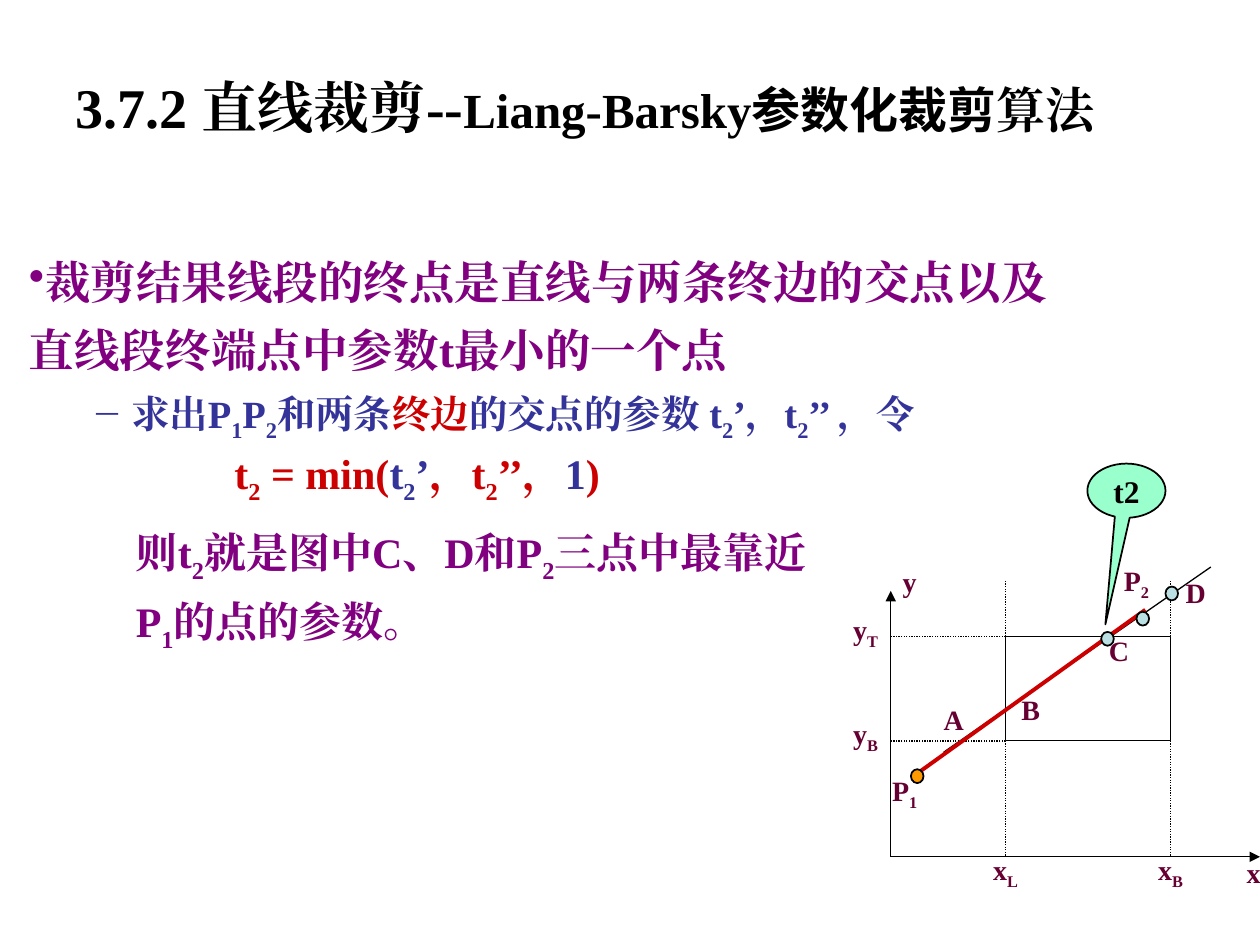
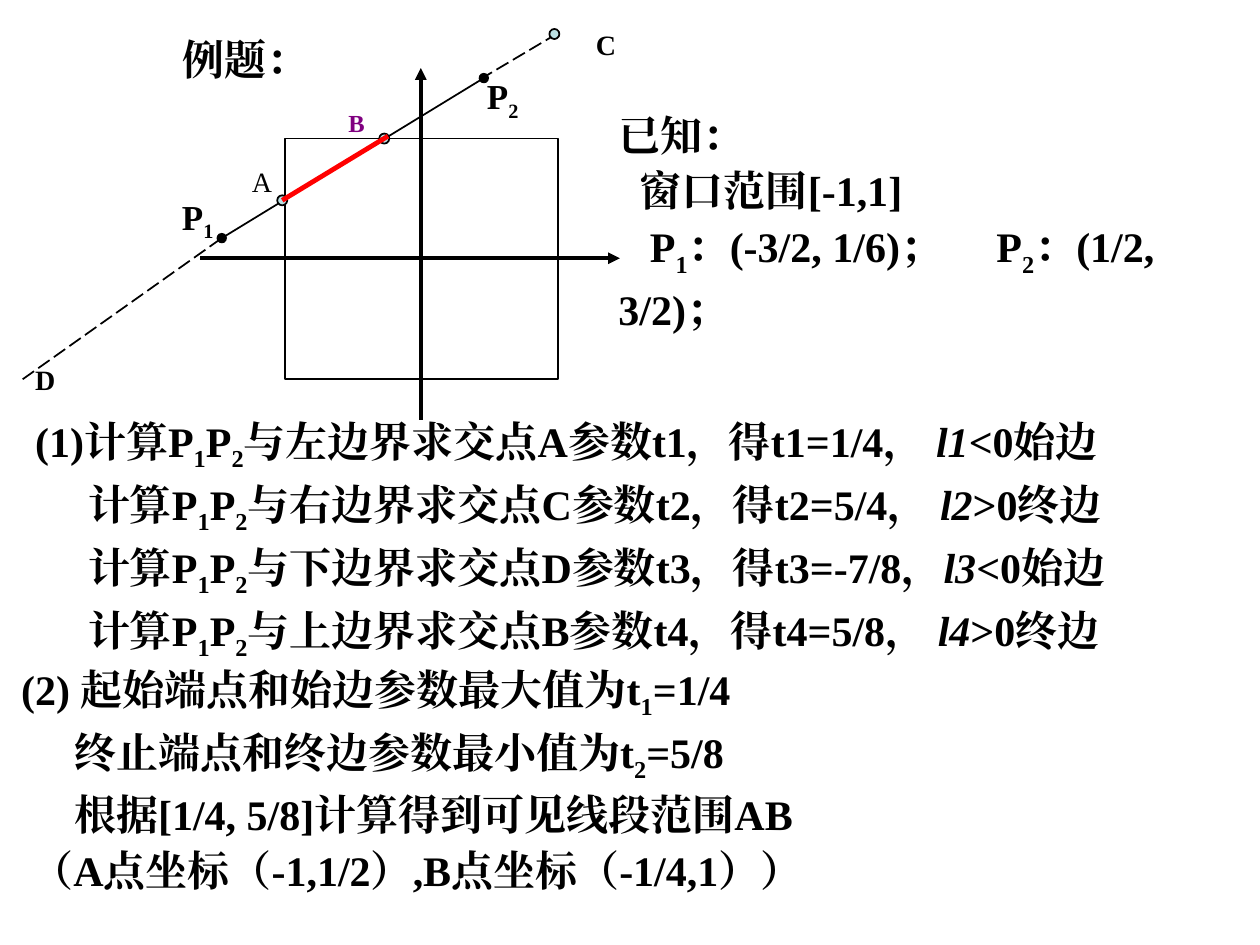
"""Builds two slides on Liang-Barsky line clipping: the end-point rule and a worked example."""
import pptx
import pptx.util
import pptx.dml.color
import pptx.enum.shapes
import pptx.enum.text
import pptx.oxml.ns
from lxml import etree

Inches = pptx.util.Inches
Pt = pptx.util.Pt
Shape = pptx.enum.shapes.MSO_SHAPE
Align = pptx.enum.text.PP_ALIGN
Anchor = pptx.enum.text.MSO_ANCHOR
qn = pptx.oxml.ns.qn

FONT = "Times New Roman"
CJK_FONT = "Noto Sans CJK SC"
COLORS = {
    "black": "000000", "white": "FFFFFF", "purple": "800080", "navy": "333399",
    "crimson": "CC0000", "red": "FF0000", "maroon": "660033",
    "orange": "FF9900", "dot": "BBE0E3", "mint": "99FFCC",
}
NO_INSETS = (0, 0, 0, 0)
TEXT_INSETS = (0.1, 0.05, 0.1, 0.05)

# An underscore makes the next character a subscript.
TITLE = [("3.7.2 直线裁剪--", {"size": 32}), ("Liang-Barsky", {}),
         ("参数化裁剪", {"font": CJK_FONT}), ("算法", {})]

RULE = [
    {"bullet": "•", "runs": [("裁剪结果线段的终点是直线与两条终边的交点以及直线段终端点中参数t最小的一个点", {"size": 26})]},
    {"bullet": "─", "level": 1, "margin": 0.81, "indent": -0.31, "runs": [
        ("求出P_1P_2和两条", {"color": "navy"}),
        ("终边", {"color": "crimson"}),
        ("的交点的参数 t_2’，t_2’’ ，令", {"color": "navy"})]},
]
FORMULA = [{"align": Align.CENTER, "runs": [
    ("t_2 = min(", {}), ("t_2’", {"color": "navy"}), ("，t_2’’，", {}),
    ("1", {"color": "navy"}), (")", {})]}]
CONCLUSION = [{"runs": [("则t_2就是图中C、D和P_2三点中最靠近P_1的点的参数。", {})]}]

GIVEN = [
    {"runs": [("已知：", {})]},
    {"margin": 0.17, "runs": [("窗口范围[-1,1]", {})]},
    {"indent": 0.25, "tab": 3.04, "runs": [("P_1：(-3/2, 1/6)；\tP_2：(1/2, 3/2)；", {})]},
]
INTERSECTIONS = [
    ("左", "A", "1/4， ", "<0始边"),
    ("右", "C", "5/4， ", ">0终边"),
    ("下", "D", "-7/8，", "<0始边"),
    ("上", "B", "5/8， ", ">0终边"),
]
STEP_ONE = [
    {"margin": 0 if number == 1 else 0.42, "runs": [
        (f"{'(1)' if number == 1 else ''}计算P_1P_2与{side}边界求交点{point}参数t{number}，得t{number}={value}", {}),
        (f"l{number}", {"italic": True}),
        (kind, {})]}
    for number, (side, point, value, kind) in enumerate(INTERSECTIONS, 1)
]
STEP_TWO = [
    {"margin": margin, "runs": [(text, {})]}
    for margin, text in [
        (0, "(2) 起始端点和始边参数最大值为t_1=1/4"),
        (0.42, "终止端点和终边参数最小值为t_2=5/8"),
        (0.42, "根据[1/4, 5/8]计算得到可见线段范围AB"),
        (0.08, "（A点坐标（-1,1/2）,B点坐标（-1/4,1））"),
    ]
]

ORIGIN_X, ORIGIN_Y = 7.07, 6.8
WINDOW_LEFT, WINDOW_RIGHT, WINDOW_TOP, WINDOW_BOTTOM = 7.98, 9.29, 5.05, 5.88
GUIDE_TOP = 4.6
CLIP_LABELS = [
    ("x", 9.95, 6.79), ("y", 7.22, 4.48),
    ("y_T", 6.87, 4.86), ("y_B", 6.87, 5.69),
    ("x_L", WINDOW_LEFT, 6.77), ("x_B", WINDOW_RIGHT, 6.77),
    ("A", 7.57, 5.58), ("B", 8.18, 5.5), ("C", 8.88, 5.03), ("D", 9.49, 4.57),
    ("P_2", 9.02, 4.47), ("P_1", 7.18, 6.14),
]
CLIP_POINTS = [(7.28, 6.16, "orange"), (9.3, 4.71, "dot"), (9.07, 4.91, "dot"), (8.79, 5.07, "dot")]

EXAMPLE_LABELS = [
    ("例题：", 1.95, 0.22, 24, "black", True),
    ("P_1", 1.57, 1.5, 20, "black", True),
    ("P_2", 3.99, 0.54, 20, "black", True),
    ("A", 2.08, 1.26, 16, "black", False),
    ("C", 4.81, 0.17, 16, "black", True),
    ("D", 0.36, 2.83, 16, "black", True),
    ("B", 2.83, 0.81, 14, "purple", True),
]


def rgb(name):
    return pptx.dml.color.RGBColor.from_string(COLORS[name])


def add_run(paragraph, text, size, color="black", font=FONT, bold=True, italic=False, subscript=False):
    run = paragraph.add_run()
    run.text = text
    run.font.size, run.font.bold, run.font.italic = Pt(size), bold, italic
    run.font.color.rgb = rgb(color)
    run.font.name = font
    properties = run._r.get_or_add_rPr()
    etree.SubElement(properties, qn("a:ea")).set("typeface", font)
    if subscript:
        properties.set("baseline", "-25000")


def add_runs(paragraph, segments, **defaults):
    for text, changes in segments:
        style = {**defaults, **changes}
        first, *others = text.split("_")
        if first:
            add_run(paragraph, first, **style)
        for part in others:
            add_run(paragraph, part[0], subscript=True, **style)
            if part[1:]:
                add_run(paragraph, part[1:], **style)


def fill_text(shape, paragraphs, insets=TEXT_INSETS, wrap=True, anchor=Anchor.TOP, spacing=1.0, **style):
    frame = shape.text_frame
    frame.word_wrap, frame.vertical_anchor = wrap, anchor
    frame.auto_size = pptx.enum.text.MSO_AUTO_SIZE.NONE
    frame.margin_left, frame.margin_top, frame.margin_right, frame.margin_bottom = map(Inches, insets)
    for index, content in enumerate(paragraphs):
        paragraph = frame.add_paragraph() if index else frame.paragraphs[0]
        paragraph.level = content.get("level", 0)
        paragraph.alignment = content.get("align", Align.LEFT)
        properties = paragraph._p.get_or_add_pPr()
        properties.set("marL", str(Inches(content.get("margin", 0))))
        properties.set("indent", str(Inches(content.get("indent", 0))))
        if "bullet" in content:
            etree.SubElement(properties, qn("a:buChar")).set("char", content["bullet"])
        if "tab" in content:
            tabs = etree.SubElement(properties, qn("a:tabLst"))
            etree.SubElement(tabs, qn("a:tab"), pos=str(Inches(content["tab"])), algn="l")
        paragraph.line_spacing = spacing
        paragraph.space_before = Pt(0)
        add_runs(paragraph, content["runs"], **style)


def add_text(slide, box, paragraphs, **style):
    fill_text(slide.shapes.add_textbox(*map(Inches, box)), paragraphs, **style)


def add_label(slide, text, center, top, size, insets=TEXT_INSETS, **style):
    width = 0.4
    add_text(slide, (center - width / 2, top, width, 0.27),
             [{"align": Align.CENTER, "runs": [(text, {})]}],
             insets=insets, wrap=False, size=size, **style)


def add_line(slide, start, end, width=0.75, color="black", dash=None, head=None, tail=None):
    connector = slide.shapes.add_connector(
        pptx.enum.shapes.MSO_CONNECTOR.STRAIGHT, *map(Inches, (*start, *end)))
    connector.line.width = Pt(width)
    connector.line.color.rgb = rgb(color)
    outline = connector.line._get_or_add_ln()
    for tag, attribute, value in (("a:prstDash", "val", dash), ("a:headEnd", "type", head),
                                  ("a:tailEnd", "type", tail)):
        if value:
            etree.SubElement(outline, qn(tag)).set(attribute, value)
    etree.SubElement(connector._element.spPr, qn("a:effectLst"))


def add_figure(slide, preset, box, fill=None, width=1):
    shape = slide.shapes.add_shape(preset, *map(Inches, box))
    shape.shadow.inherit = False
    if fill:
        shape.fill.solid()
        shape.fill.fore_color.rgb = rgb(fill)
    else:
        shape.fill.background()
    shape.line.width = Pt(width)
    shape.line.color.rgb = rgb("black")
    return shape


def add_point(slide, x, y, fill="dot", width=0.1, height=0.11):
    add_figure(slide, Shape.OVAL, (x - width / 2, y - height / 2, width, height), fill)


def draw_clip_diagram(slide):
    add_line(slide, (ORIGIN_X, ORIGIN_Y), (10, ORIGIN_Y), tail="triangle")
    add_line(slide, (ORIGIN_X, ORIGIN_Y), (ORIGIN_X, 4.69), tail="triangle")
    add_figure(slide, Shape.RECTANGLE, (WINDOW_LEFT, WINDOW_TOP, WINDOW_RIGHT - WINDOW_LEFT,
                                        WINDOW_BOTTOM - WINDOW_TOP), width=0.75)
    for y in (WINDOW_TOP, WINDOW_BOTTOM):
        add_line(slide, (WINDOW_LEFT, y), (ORIGIN_X, y), dash="sysDot")
    for x in (WINDOW_LEFT, WINDOW_RIGHT):
        add_line(slide, (x, WINDOW_BOTTOM), (x, ORIGIN_Y), dash="sysDot")
        add_line(slide, (x, WINDOW_TOP), (x, GUIDE_TOP), dash="sysDot")
    add_line(slide, (7.49, 5.97), (9.61, 4.5))
    add_line(slide, (7.25, 6.16), (9.09, 4.84), width=2.25, color="crimson")
    for text, center, top in CLIP_LABELS:
        add_label(slide, text, center, top, 16, insets=NO_INSETS, color="maroon")
    for x, y, fill in CLIP_POINTS:
        add_point(slide, x, y, fill)
    callout = add_figure(slide, Shape.OVAL_CALLOUT, (8.63, 3.68, 0.62, 0.43), "mint")
    callout.adjustments[0], callout.adjustments[1] = -0.269, 2.468
    fill_text(callout, [{"align": Align.CENTER, "runs": [("t2", {})]}],
              insets=NO_INSETS, anchor=Anchor.MIDDLE, size=18)


def draw_example_diagram(slide):
    add_figure(slide, Shape.RECTANGLE, (2.26, 1.1, 2.17, 1.91), "white")
    add_line(slide, (1.59, 2.05), (4.92, 2.05), width=2.25, tail="triangle")
    add_line(slide, (3.34, 3.33), (3.34, 0.54), width=2.25, tail="triangle")
    add_line(slide, (1.76, 1.89), (3.84, 0.62), width=1, head="oval", tail="oval")
    add_line(slide, (3.81, 0.63), (4.45, 0.25), width=1, dash="lgDash")
    add_line(slide, (0.18, 3.01), (1.76, 1.89), width=1, dash="lgDash")
    for x, y in ((3.05, 1.1), (2.24, 1.59), (4.4, 0.27)):
        add_point(slide, x, y, width=0.08, height=0.08)
    for text, center, top, size, color, bold in EXAMPLE_LABELS:
        add_label(slide, text, center, top, size, color=color, bold=bold)
    add_line(slide, (2.24, 1.59), (3.08, 1.08), width=2.75, color="red")


def build_rule_slide(presentation):
    slide = presentation.slides.add_slide(presentation.slide_layouts[5])
    title = slide.shapes.title
    title.left, title.top, title.width, title.height = map(Inches, (0.5, 0.3, 9, 1.09))
    fill_text(title, [{"runs": TITLE}], anchor=Anchor.MIDDLE, size=28)
    draw_clip_diagram(slide)
    add_text(slide, (0.23, 1.86, 8.52, 1.66), RULE, insets=(0, 0.05, 0.1, 0.05),
             spacing=1.25, size=22, color="purple")
    add_text(slide, (0.49, 3.39, 5.64, 0.55), FORMULA, spacing=1.25, size=24, color="crimson")
    add_text(slide, (0.98, 4.04, 5.67, 1.02), CONCLUSION, spacing=1.2, size=24, color="purple")


def build_example_slide(presentation):
    slide = presentation.slides.add_slide(presentation.slide_layouts[6])
    for box, paragraphs in (((4.81, 0.78, 4.97, 1.43), GIVEN),
                            ((0.18, 3.2, 9.51, 1.88), STEP_ONE),
                            ((0.07, 5.17, 9.7, 1.88), STEP_TWO)):
        add_text(slide, box, paragraphs, spacing=1.1, size=24)
    draw_example_diagram(slide)


def main():
    presentation = pptx.Presentation()
    presentation.slide_width, presentation.slide_height = Inches(10), Inches(7.5)
    build_rule_slide(presentation)
    build_example_slide(presentation)
    presentation.save("out.pptx")


if __name__ == "__main__":
    main()
